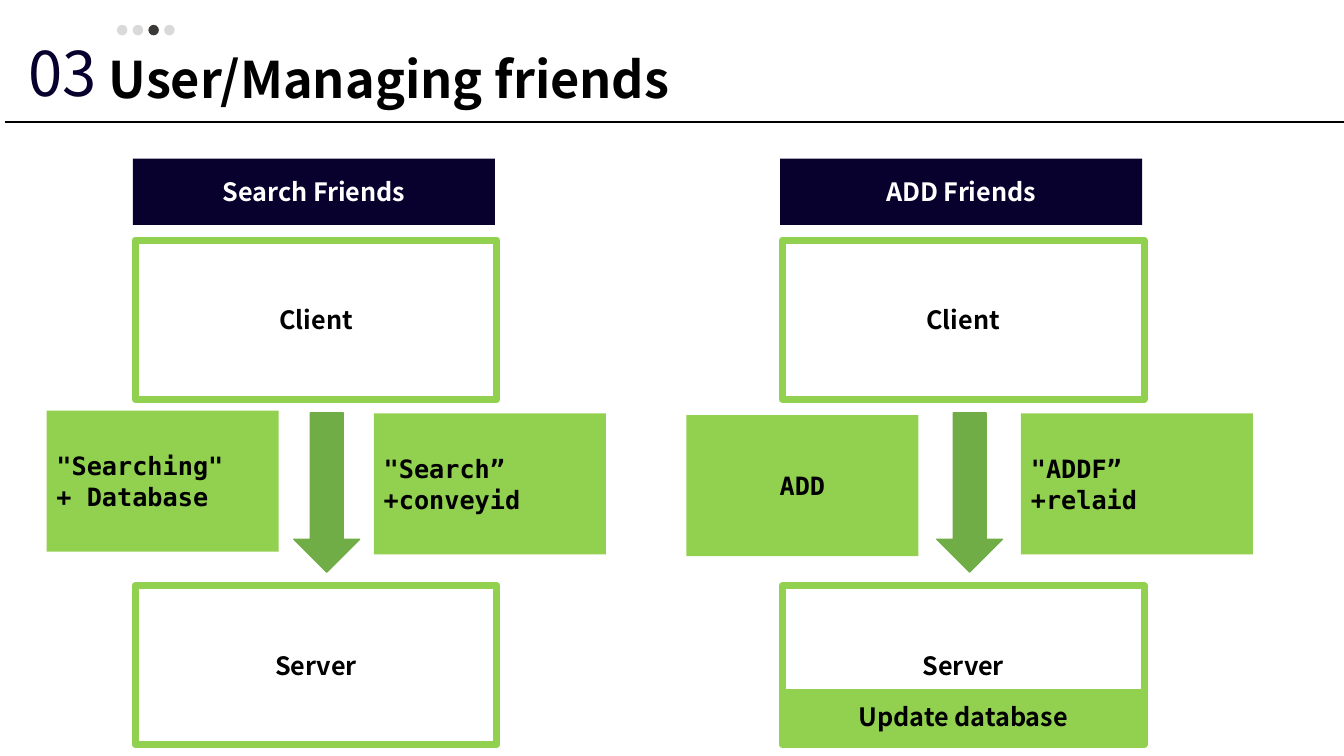
"""Build the slide on searching for and adding friends."""
from dataclasses import dataclass

from lxml.etree import SubElement
from pptx import Presentation
from pptx.dml.color import RGBColor
from pptx.enum.shapes import MSO_CONNECTOR, MSO_SHAPE
from pptx.enum.text import MSO_ANCHOR, MSO_AUTO_SIZE, PP_ALIGN
from pptx.oxml.ns import qn
from pptx.util import Pt


@dataclass(frozen=True)
class Theme:
    """Colours, fonts and type sizes of the slide."""

    navy: str = "09012D"
    lime: str = "92D050"
    green: str = "70AD47"
    black: str = "000000"
    white: str = "FFFFFF"
    dot: str = "D9D9D9"
    active_dot: str = "3B3838"
    sans: str = "Noto Sans CJK KR"
    mono: str = "DejaVu Sans Mono"
    number_size: int = 44
    title_size: int = 36
    label_size: int = 18


THEME = Theme()
COLUMN_STEP = 462.25
BOX_WIDTH = 258.5
BOX_HEIGHT = 113.75


def color(value):
    """Return a colour object for a hexadecimal string."""
    return RGBColor.from_string(value)


def write(shape, text, size, ink, font=THEME.sans, bold=True, align=PP_ALIGN.CENTER):
    """Put vertically centred, formatted text in a shape."""
    frame = shape.text_frame
    frame.text = text
    frame.word_wrap = True
    frame.auto_size = MSO_AUTO_SIZE.NONE
    frame.vertical_anchor = MSO_ANCHOR.MIDDLE
    for paragraph in frame.paragraphs:
        paragraph.alignment = align
        for run in paragraph.runs:
            run.font.name = font
            run.font.size = Pt(size)
            run.font.bold = bold
            run.font.color.rgb = color(ink)


def add_figure(slide, kind, left, top, width, height, fill=None, line=None, weight=1):
    """Add a preset shape with an optional fill and outline."""
    shape = slide.shapes.add_shape(kind, Pt(left), Pt(top), Pt(width), Pt(height))
    shape.shadow.inherit = False
    if fill:
        shape.fill.solid()
        shape.fill.fore_color.rgb = color(fill)
    else:
        shape.fill.background()
    if line:
        shape.line.color.rgb = color(line)
        shape.line.width = Pt(weight)
    else:
        shape.line.fill.background()
    return shape


def add_band(slide, text, left, top, height, fill, ink):
    """Add a filled band as wide as a node."""
    band = add_figure(slide, MSO_SHAPE.RECTANGLE, left, top, BOX_WIDTH, height, fill)
    write(band, text, THEME.label_size, ink)


def add_node(slide, text, left, top):
    """Add an outlined box for one side of the exchange."""
    node = add_figure(slide, MSO_SHAPE.RECTANGLE, left, top, BOX_WIDTH, BOX_HEIGHT,
                      line=THEME.lime, weight=5)
    write(node, text, THEME.label_size, THEME.black)


def add_message(slide, text, left, top, align=PP_ALIGN.LEFT):
    """Add a green box with the message that is sent."""
    message = add_figure(slide, MSO_SHAPE.RECTANGLE, left, top, 165.75, 100.75, THEME.lime)
    write(message, text, THEME.label_size, THEME.black, THEME.mono, align=align)


def add_arrow(slide, left):
    """Add the block arrow that points down to the server."""
    arrow = add_figure(slide, MSO_SHAPE.RIGHT_ARROW, left, 328.25, BOX_HEIGHT, 47,
                       THEME.green, THEME.green)
    arrow.rotation = 90


def add_heading(slide):
    """Add the section number, title, progress dots and rule."""
    number = slide.shapes.add_textbox(Pt(12.25), Pt(21), Pt(65), Pt(60.5))
    write(number, "03", THEME.number_size, THEME.navy, bold=False)
    number.text_frame.word_wrap = False

    title = slide.shapes.title
    title.left, title.top, title.width, title.height = Pt(70.5), Pt(30.25), Pt(438.5), Pt(51)
    write(title, "User/Managing friends", THEME.title_size, THEME.black, align=PP_ALIGN.LEFT)

    for index in range(4):
        fill = THEME.active_dot if index == 2 else THEME.dot
        add_figure(slide, MSO_SHAPE.OVAL, 83.5 + 11.25 * index, 17.75, 7.5, 7.5, fill)

    rule = slide.shapes.add_connector(MSO_CONNECTOR.STRAIGHT, Pt(3.5), Pt(87.25), Pt(960), Pt(87.25))
    rule.line.color.rgb = color(THEME.black)
    rule.line.width = Pt(1)
    SubElement(rule._element.spPr, qn("a:effectLst"))


def add_flow(slide, column, heading, reply):
    """Add one column with its client, server, arrow and reply."""
    offset = column * COLUMN_STEP
    add_band(slide, heading, 95 + offset, 113.25, 47.5, THEME.navy, THEME.white)
    add_node(slide, "Client", 96.5 + offset, 171.5)
    add_node(slide, "Server", 96.5 + offset, 418.25)
    add_arrow(slide, 176.5 + column * 459.25)
    add_message(slide, reply, 267 + offset, 295.25)


def main():
    """Build and save the presentation."""
    presentation = Presentation()
    presentation.slide_width, presentation.slide_height = Pt(960), Pt(540)
    slide = presentation.slides.add_slide(presentation.slide_layouts[5])
    add_heading(slide)
    add_flow(slide, 0, "Search Friends", '"Search”\n+conveyid')
    add_flow(slide, 1, "ADD Friends", '"ADDF”\n+relaid')
    add_band(slide, "Update database", 96.5 + COLUMN_STEP, 492.25, 39.75, THEME.lime, THEME.black)
    add_message(slide, "ADD", 490.25, 296.5, PP_ALIGN.CENTER)
    add_message(slide, '"Searching"\n+ Database', 33.25, 293.25)
    presentation.save("out.pptx")


if __name__ == "__main__":
    main()
